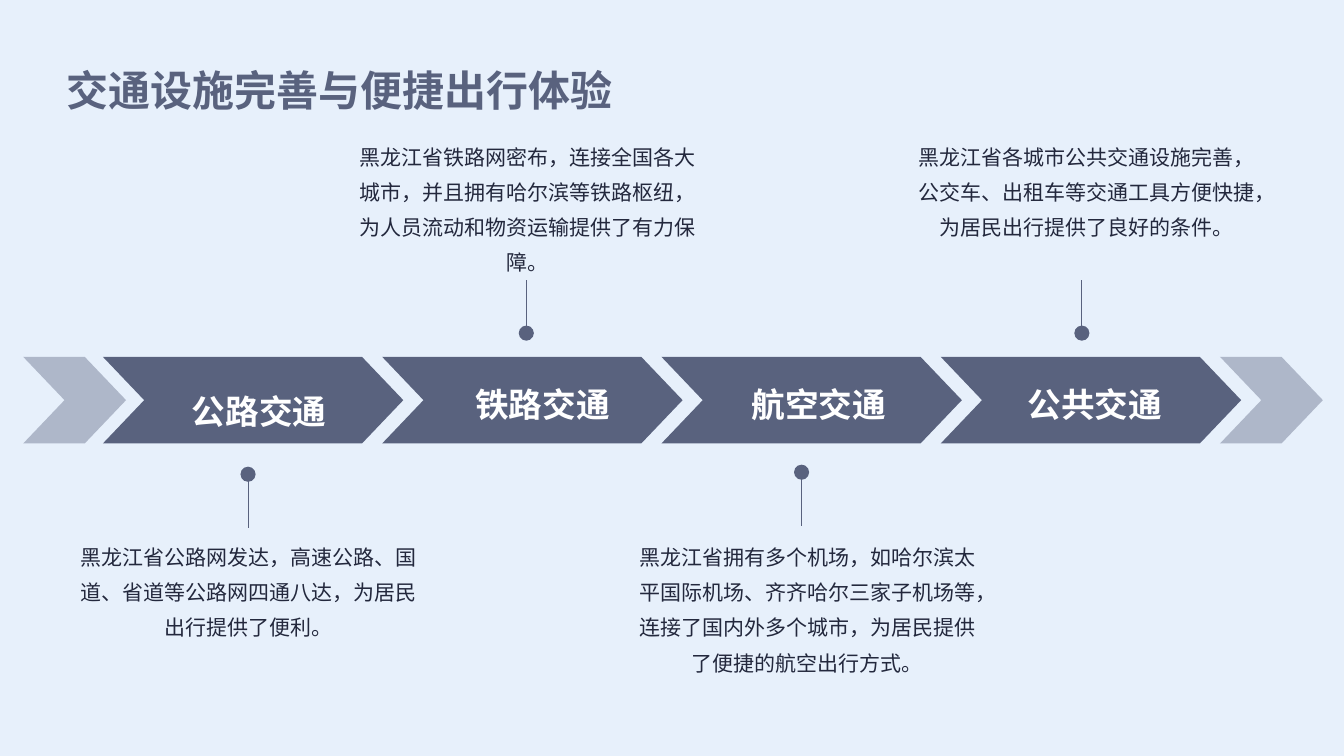
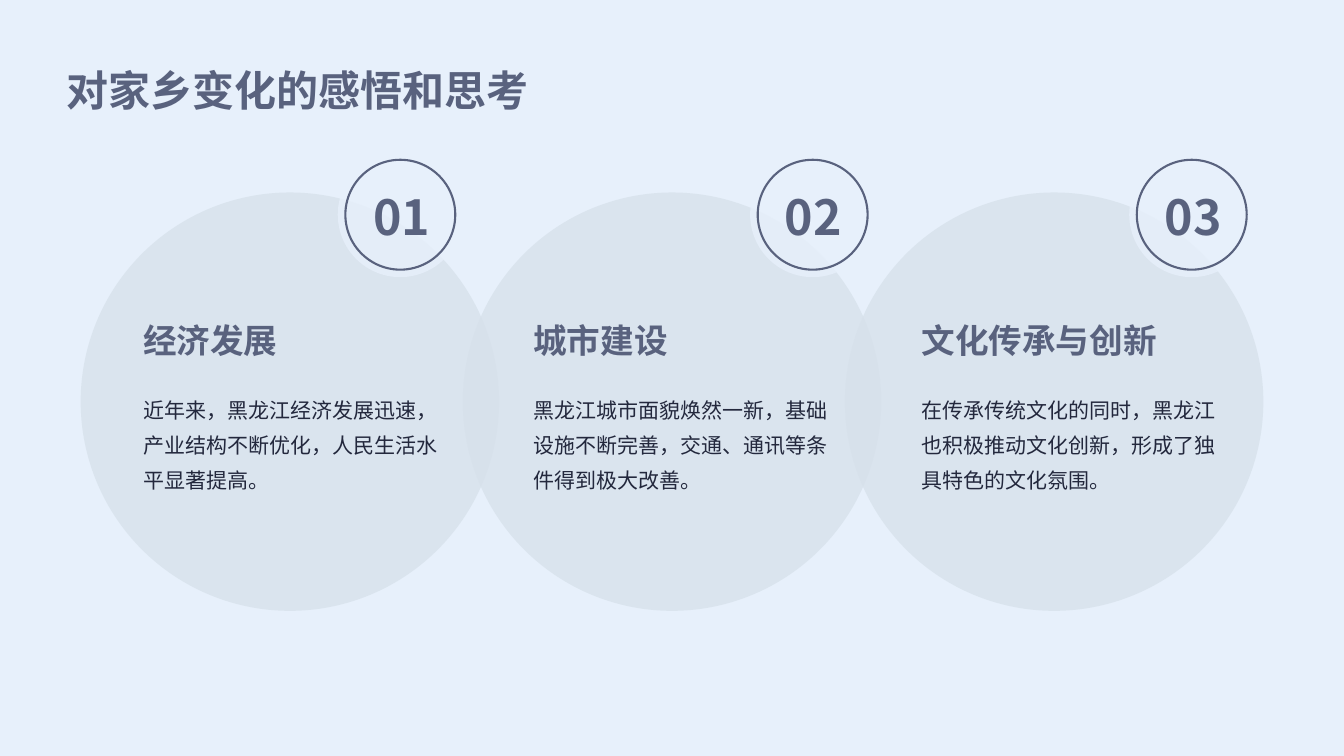
from dataclasses import dataclass

from lxml.etree import SubElement
from pptx import Presentation
from pptx.dml.color import RGBColor as RGB
from pptx.enum.lang import MSO_LANGUAGE_ID as LANG
from pptx.enum.shapes import MSO_CONNECTOR as CONN, MSO_SHAPE as SHAPE
from pptx.enum.text import MSO_ANCHOR as ANCHOR, MSO_AUTO_SIZE as AUTO, PP_ALIGN as ALIGN
from pptx.oxml.ns import qn
from pptx.util import Inches, Pt


@dataclass(frozen=True)
class Theme:
    font: str = "Noto Sans CJK SC"
    paper: RGB = RGB.from_string("E7F0FB")
    accent: RGB = RGB.from_string("59627E")
    circle: RGB = RGB.from_string("D7E1EB")
    ink: RGB = RGB.from_string("23283D")
    white: RGB = RGB.from_string("FFFFFF")
    title: float = 30
    heading: float = 24
    body: float = 15
    number: float = 34.5


T = Theme()
W, H = 13.33, 7.5
TIGHT = (0.12, 0.06, 0.12, 0.06)
ROOMY = (0.14, 0.14, 0.06, 0.14)

# Text formats: size, colour, weight, line spacing, alignment, anchor, insets
TITLE = dict(size=T.title, color=T.accent, bold=True, spacing=1.4,
             align=ALIGN.LEFT, anchor=ANCHOR.MIDDLE, insets=ROOMY)
LABEL = dict(size=T.heading, color=T.white, bold=True, spacing=1.2,
             align=ALIGN.CENTER, anchor=ANCHOR.MIDDLE, insets=TIGHT)
NOTE = dict(size=T.body, color=T.ink, bold=False, spacing=1.4,
            align=ALIGN.CENTER, anchor=ANCHOR.TOP, insets=TIGHT)
HEADING = TITLE | dict(size=T.heading, spacing=1.2, anchor=ANCHOR.BOTTOM)
BODY = NOTE | dict(align=ALIGN.LEFT, insets=ROOMY)
NUMBER = TITLE | dict(size=T.number, spacing=1.0, align=ALIGN.CENTER)


def write(s, box, text, fmt, sp=None):
    """Put formatted text in a new text box, or in the given placeholder."""
    x, y, w, h = map(Inches, box)
    sp = sp or s.shapes.add_textbox(x, y, w, h)
    sp.left, sp.top, sp.width, sp.height = x, y, w, h
    tf = sp.text_frame
    left, top, right, bottom = map(Inches, fmt["insets"])
    frame = dict(word_wrap=True, auto_size=AUTO.NONE, vertical_anchor=fmt["anchor"],
                 margin_left=left, margin_top=top, margin_right=right, margin_bottom=bottom)
    for name, value in frame.items():
        setattr(tf, name, value)
    p = tf.paragraphs[0]
    p.alignment, p.line_spacing = fmt["align"], fmt["spacing"]
    r = p.add_run()
    r.text = text
    font = dict(size=Pt(fmt["size"]), bold=fmt["bold"], name=T.font,
                language_id=LANG.SIMPLIFIED_CHINESE)
    for name, value in font.items():
        setattr(r.font, name, value)
    r.font.color.rgb = fmt["color"]
    SubElement(r.font._element, qn("a:ea"), typeface=T.font)


def draw(s, kind, box, fill=None, alpha=100, line=None, adj=None):
    """Add a flat preset shape; alpha is the opacity in percent."""
    sp = s.shapes.add_shape(kind, *map(Inches, box))
    sp.shadow.inherit = False
    if adj is not None:
        sp.adjustments[0] = adj
    if fill is None:
        sp.fill.background()
    else:
        sp.fill.solid()
        sp.fill.fore_color.rgb = fill
        if alpha < 100:
            clr = sp._element.spPr.find(".//" + qn("a:srgbClr"))
            SubElement(clr, qn("a:alpha"), val=str(alpha * 1000))
    if line is None:
        sp.line.fill.background()
    else:
        sp.line.color.rgb, sp.line.width = line, Pt(1.5)


# Shared background and titles
prs = Presentation()
prs.slide_width, prs.slide_height = Inches(W), Inches(H)
bg = prs.slide_master.background.fill
bg.solid()
bg.fore_color.rgb = T.paper

slides = []
for title in ("交通设施完善与便捷出行体验", "对家乡变化的感悟和思考"):
    s = prs.slides.add_slide(prs.slide_layouts[5])
    write(s, (0.52, 0.29, W - 2 * 0.52, 1), title, TITLE, s.shapes.title)
    slides.append(s)
transport, thoughts = slides

# Slide 1: band of arrows, one column per kind of transport
COL, X0 = 2.77, 1.02
BAND_Y, BAND_H, TIP = 3.54, 0.86, 0.477
DOT, STEM = 0.15, 0.51
for x in (0.23, X0 + 4 * COL):
    draw(transport, SHAPE.CHEVRON, (x, BAND_Y, 1.02, BAND_H), T.accent, 40, adj=TIP)

# Label, label left, label anchor, pin centre, dot top, note
kinds = [
    ("公路交通", 1.25, ANCHOR.TOP, 2.46, 4.63,
     "黑龙江省公路网发达，高速公路、国道、省道等公路网四通八达，为居民出行提供了便利。"),
    ("铁路交通", 4.06, ANCHOR.MIDDLE, 5.22, 3.23,
     "黑龙江省铁路网密布，连接全国各大城市，并且拥有哈尔滨等铁路枢纽，为人员流动和物资运输提供了有力保障。"),
    ("航空交通", 6.8, ANCHOR.MIDDLE, 7.95, 4.61,
     "黑龙江省拥有多个机场，如哈尔滨太平国际机场、齐齐哈尔三家子机场等，连接了国内外多个城市，为居民提供了便捷的航空出行方式。"),
    ("公共交通", 9.54, ANCHOR.MIDDLE, 10.73, 3.23,
     "黑龙江省各城市公共交通设施完善，公交车、出租车等交通工具方便快捷，为居民出行提供了良好的条件。"),
]
for i, (label, label_x, anchor, pin_x, dot_y, note) in enumerate(kinds):
    x = X0 + i * COL
    below = dot_y > BAND_Y
    draw(transport, SHAPE.CHEVRON, (x, BAND_Y, 2.98, BAND_H), T.accent, adj=TIP)
    write(transport, (label_x, 3.74, 2.64, 0.45), label, LABEL | dict(anchor=anchor))

    # Pin from the band to the note
    stem_y = dot_y + 0.1 if below else dot_y + 0.06 - STEM
    ln = transport.shapes.add_connector(
        CONN.STRAIGHT, *map(Inches, (pin_x, stem_y, pin_x, stem_y + STEM)))
    ln.line.color.rgb, ln.line.width = T.accent, Pt(0.75)
    SubElement(ln._element.spPr, qn("a:effectLst"))
    draw(transport, SHAPE.OVAL, (pin_x - DOT / 2, dot_y, DOT, DOT), T.accent)
    write(transport, (x - 0.39, 5.24 if below else 1.27, 3.67, 1.58), note, NOTE)

# Slide 2: three overlapping circles with numbered badges
CIRCLE, STEP, BADGE, RING = 4.15, 3.79, 1.24, 1.09
# Text left, badge left, number left, heading, body
topics = [
    (1.28, 3.35, 3.31, "经济发展",
     "近年来，黑龙江经济发展迅速，产业结构不断优化，人民生活水平显著提高。"),
    (5.15, 7.44, 7.39, "城市建设",
     "黑龙江城市面貌焕然一新，基础设施不断完善，交通、通讯等条件得到极大改善。"),
    (9, 11.2, 11.16, "文化传承与创新",
     "在传承传统文化的同时，黑龙江也积极推动文化创新，形成了独具特色的文化氛围。"),
]
for i in range(len(topics)):
    draw(thoughts, SHAPE.OVAL, (0.8 + i * STEP, 1.91, CIRCLE, CIRCLE), T.circle, 80)
for i, (text_x, badge_x, number_x, heading, body) in enumerate(topics, 1):
    gap = (BADGE - RING) / 2
    draw(thoughts, SHAPE.OVAL, (badge_x, 1.51, BADGE, BADGE), T.paper, 80)
    draw(thoughts, SHAPE.OVAL, (badge_x + gap, 1.51 + gap, RING, RING), line=T.accent)
    write(thoughts, (number_x, 1.7, 1.27, 0.88), f"{i:02}", NUMBER)
    write(thoughts, (text_x, 2.97, 3.06, 0.74), heading, HEADING)
    write(thoughts, (text_x, 3.7, 3.2, 1.36), body, BODY)

prs.save("out.pptx")
